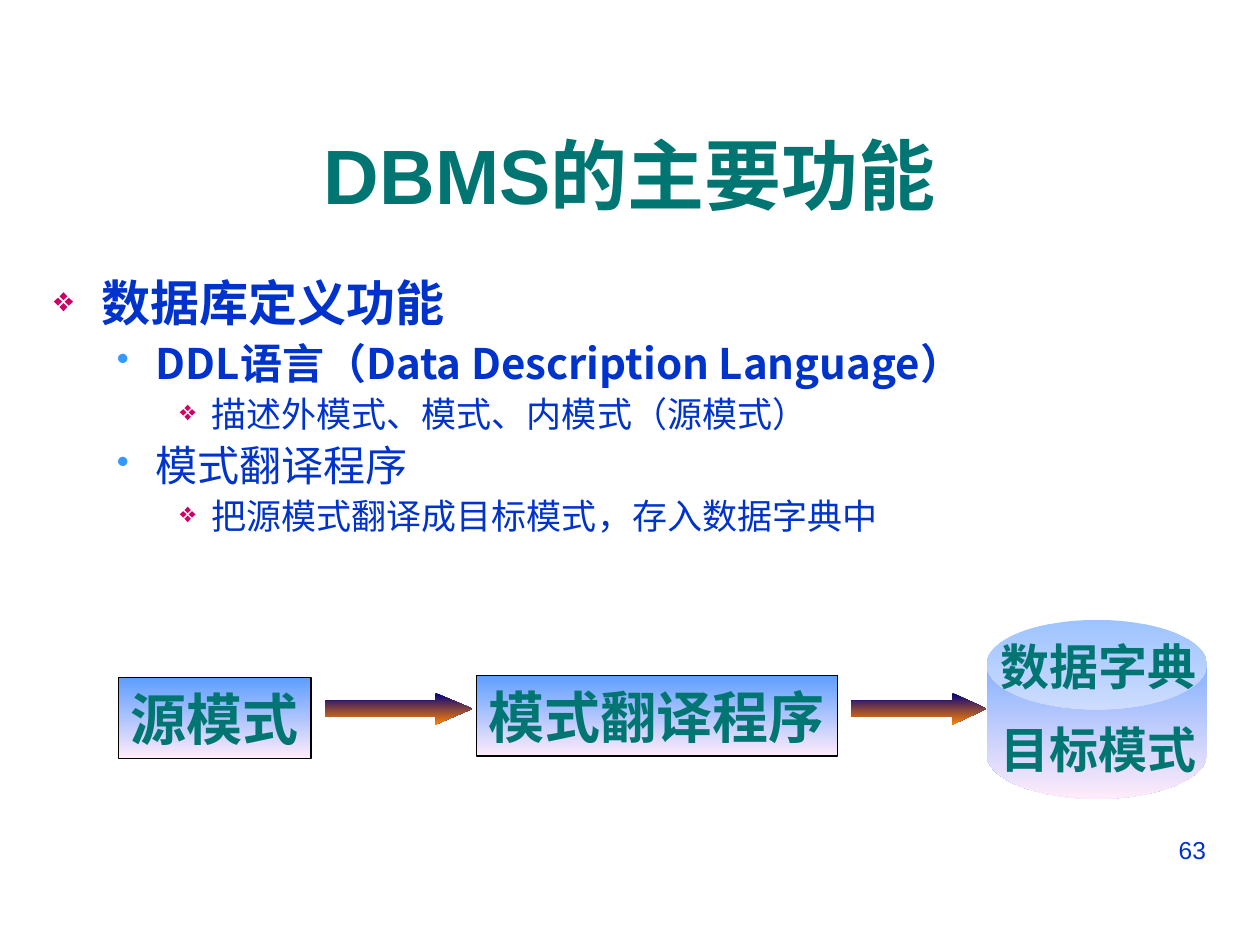
import pptx
import pptx.dml.color
import pptx.enum.shapes
import pptx.enum.text
import pptx.oxml.ns
import pptx.util
from lxml import etree

Inches = pptx.util.Inches
Pt = pptx.util.Pt
RGBColor = pptx.dml.color.RGBColor
MSO_SHAPE = pptx.enum.shapes.MSO_SHAPE
PP_ALIGN = pptx.enum.text.PP_ALIGN
MSO_ANCHOR = pptx.enum.text.MSO_ANCHOR
qn = pptx.oxml.ns.qn

TEAL = RGBColor(0x00, 0x75, 0x72)
BLUE = RGBColor(0x00, 0x33, 0xCC)
SKY = RGBColor(0x33, 0x99, 0xFF)
MAGENTA = RGBColor(0xCC, 0x00, 0x66)
BLACK = RGBColor(0x00, 0x00, 0x00)
PANEL = (RGBColor(0x5E, 0x9E, 0xFF), RGBColor(0xFF, 0xEB, 0xFA))
FLAME = (RGBColor(0x00, 0x00, 0x82), RGBColor(0xFF, 0x82, 0x00))
CJK = "Noto Sans CJK JP"

LEVELS = [
    dict(indent=0.38, hang=0.38, char="❖", color=MAGENTA, pct=70, size=28, before=7),
    dict(indent=0.81, hang=0.31, char="•", color=SKY, pct=85, size=24, before=6),
    dict(indent=1.25, hang=0.25, char="❖", color=MAGENTA, pct=80, size=20, before=5),
]
OUTLINE = [
    (0, "数据库定义功能", "Arial", True),
    (1, "DDL语言（Data Description Language）", CJK, True),
    (2, "描述外模式、模式、内模式（源模式）", CJK, False),
    (1, "模式翻译程序", CJK, False),
    (2, "把源模式翻译成目标模式，存入数据字典中", CJK, False),
]


def add_text(p, text, *, size, color, font="Arial", bold=False,
             align=PP_ALIGN.LEFT, before=0):
    p.alignment = align
    if before:
        p.space_before = Pt(before)
    r = p.add_run()
    r.text = text
    r.font.size = Pt(size)
    r.font.name = font
    r.font.bold = bold
    r.font.color.rgb = color
    ea = etree.Element(qn("a:ea"), typeface=CJK)
    r.font._element.find(qn("a:latin")).addnext(ea)


def add_bullet(p, level):
    style = LEVELS[level]
    p.level = level
    pPr = p._p.get_or_add_pPr()
    pPr.set("marL", str(Inches(style["indent"])))
    pPr.set("indent", str(-Inches(style["hang"])))
    clr = etree.SubElement(pPr, qn("a:buClr"))
    etree.SubElement(clr, qn("a:srgbClr"), val=str(style["color"]))
    etree.SubElement(pPr, qn("a:buSzPct"), val=str(style["pct"] * 1000))
    etree.SubElement(pPr, qn("a:buChar"), char=style["char"])
    p.line_spacing = 0.9


class SlideBuilder:
    label_style = dict(color=TEAL, font="Times New Roman", bold=True,
                       align=PP_ALIGN.CENTER)

    def __init__(self, slide):
        self.slide = slide

    def textbox(self, x, y, w, h, anchor=MSO_ANCHOR.TOP, wrap=True):
        sp = self.slide.shapes.add_textbox(*map(Inches, (x, y, w, h)))
        tf = sp.text_frame
        tf.word_wrap = wrap
        tf.vertical_anchor = anchor
        return tf

    def line(self, box, text, anchor=MSO_ANCHOR.TOP, **style):
        add_text(self.textbox(*box, anchor=anchor).paragraphs[0], text, **style)

    def outline(self, box, items):
        tf = self.textbox(*box)
        for i, (level, text, font, bold) in enumerate(items):
            p = tf.add_paragraph() if i else tf.paragraphs[0]
            add_bullet(p, level)
            add_text(p, text, size=LEVELS[level]["size"], color=BLUE, font=font,
                     bold=bold, before=LEVELS[level]["before"] if i else 0)

    def shape(self, kind, box, colors, adjustments=()):
        sp = self.slide.shapes.add_shape(kind, *map(Inches, box))
        sp.shadow.inherit = False
        sp.line.fill.background()
        sp.fill.gradient()
        sp.fill.gradient_angle = 270
        for stop, color in zip(sp.fill.gradient_stops, colors):
            stop.color.rgb = color
        for i, value in enumerate(adjustments):
            sp.adjustments[i] = value
        return sp

    def process(self, box, text):
        sp = self.shape(MSO_SHAPE.RECTANGLE, box, PANEL)
        sp.line.color.rgb = BLACK
        sp.line.width = Pt(0.75)
        tf = sp.text_frame
        tf.word_wrap = False
        tf.vertical_anchor = MSO_ANCHOR.MIDDLE
        add_text(tf.paragraphs[0], text, size=32, **self.label_style)

    def store(self, box, text_box, lines):
        self.shape(MSO_SHAPE.CAN, box, PANEL, [0.5])
        tf = self.textbox(*text_box, anchor=MSO_ANCHOR.MIDDLE, wrap=False)
        for i, text in enumerate(lines):
            p = tf.add_paragraph() if i else tf.paragraphs[0]
            add_text(p, text, size=28, before=14 if i else 0, **self.label_style)

    def arrow(self, x, w):
        self.shape(MSO_SHAPE.RIGHT_ARROW, (x, 5.5, w, 0.25), FLAME, [0.5, w])


def main():
    prs = pptx.Presentation()
    prs.slide_width = Inches(10)
    prs.slide_height = Inches(7.5)
    s = SlideBuilder(prs.slides.add_slide(prs.slide_layouts[6]))

    s.line((7.17, 6.58, 2.5, 0.52), "63", size=14, color=BLUE, align=PP_ALIGN.RIGHT)
    s.line((0.33, 0.75, 9.34, 1.25), "DBMS的主要功能", anchor=MSO_ANCHOR.MIDDLE,
           size=44, color=TEAL, bold=True, align=PP_ALIGN.CENTER)
    s.outline((0.33, 2.17, 9.34, 2.22), OUTLINE)

    s.process((0.94, 5.38, 1.53, 0.64), "源模式")
    s.process((3.78, 5.36, 2.87, 0.64), "模式翻译程序")
    s.store((7.83, 4.92, 1.75, 1.42), (7.84, 5, 1.75, 1.23), ["数据字典", "目标模式"])
    s.arrow(2.58, 1.17)
    s.arrow(6.75, 1.08)

    prs.save("out.pptx")


if __name__ == "__main__":
    main()
